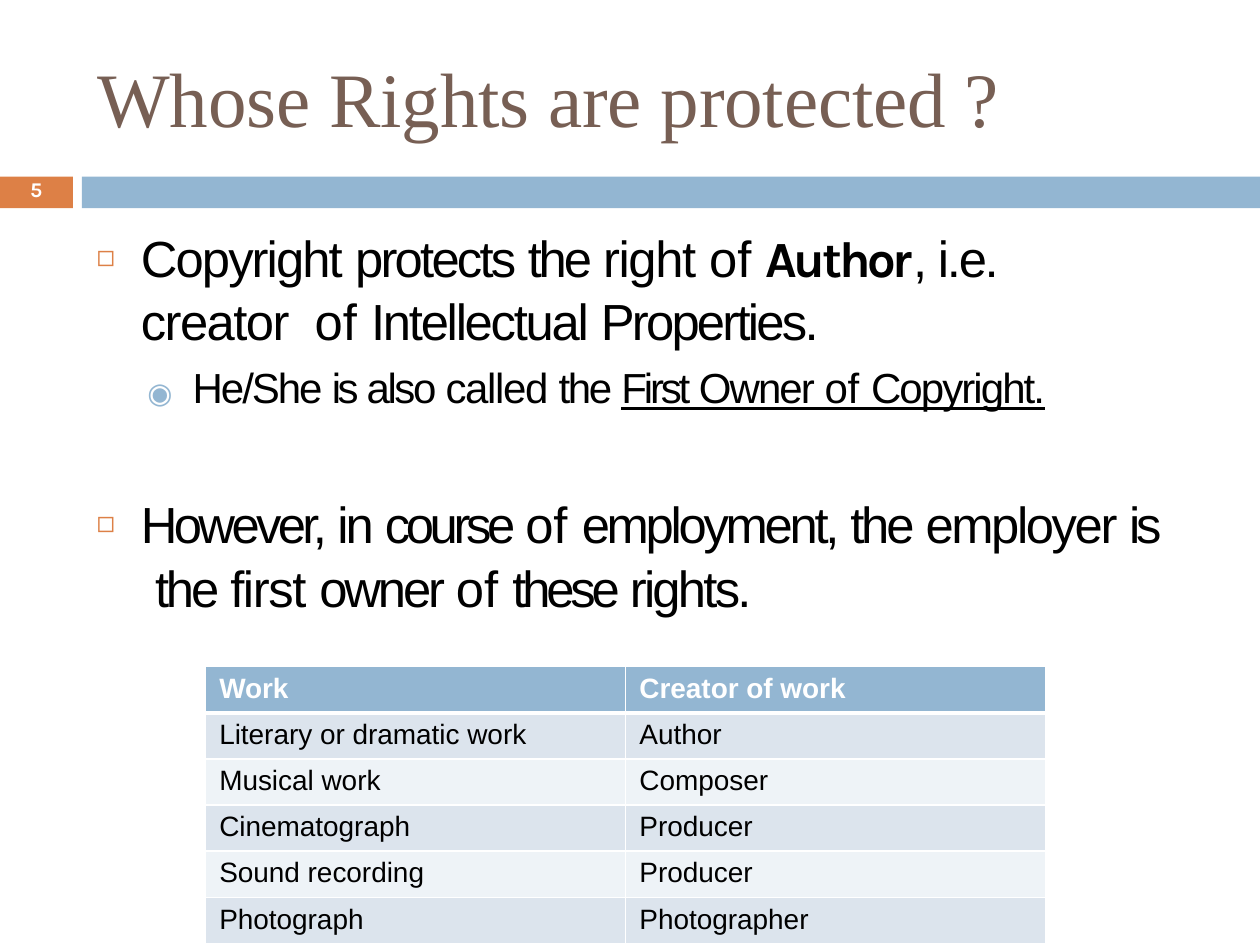
from lxml import etree
from pptx import Presentation
from pptx import util as u
from pptx.dml.color import RGBColor
from pptx.enum import shapes, text
from pptx.oxml.ns import qn

ORANGE, BLUE, BROWN = "DD8046", "93B6D2", "775F54"
WHITE, BLACK, BAND_DARK, BAND_LIGHT = "FFFFFF", "000000", "DCE4ED", "EEF3F7"

TITLE = "Whose Rights are protected ?"
PAGE = "5"
# Bands: left, width (cm), colour
BANDS = [(0, 1.47, ORANGE), (1.65, 23.75, BLUE)]
# Runs: text, letter spacing (pt), optional font settings
BODY = [
    dict(bullet="◻", left=0.91, hang=-0.89, right=1.5, before=1.1, size=29, runs=[
        ("Copyright ", -1.1), ("protects ", -1.6), ("the ", -1.8),
        ("right ", -0.8), ("of ", 0),
        ("Author", -1.9, dict(name="Karla", bold=True)), (", ", -1.9),
        ("i.e. ", -1.3), ("creator  ", -0.9), ("of ", 0),
        ("Intellectual ", -1.3), ("Properties.", -1.6)]),
    dict(left=1.04, before=6.2, size=24, runs=[
        ("◉ ", 3.5, dict(size=16.5, color=BLUE)),
        ("He/She ", -1.2), ("is ", -2.1), ("also ", -1.4),
        ("called ", -0.8), ("the ", -1.4),
        ("First ", -1.8, dict(underline=True)),
        ("Owner ", -1.1, dict(underline=True)),
        ("of", -0.1, dict(underline=True)),
        (" ", -0.7, dict(underline=True)),
        ("Copyright.", -1.1, dict(underline=True))]),
    dict(bullet="◻", left=0.91, hang=-0.89, before=44, size=29, runs=[
        ("However, ", -2.1), ("in ", -1.8), ("course ", -2.5), ("of ", 0),
        ("employment, ", -1.9), ("the ", -1.8), ("employer ", -1.4),
        ("is  ", -2.5), ("the ", -1.8), ("first ", -0.8), ("owner ", -1.8),
        ("of ", 0), ("these ", -2.4), ("rights.", -1.6)]),
]
WORKS = [
    ("Work", "Creator of work"),
    ("Literary or dramatic work", "Author"),
    ("Musical work", "Composer"),
    ("Cinematograph", "Producer"),
    ("Sound recording", "Producer"),
    ("Photograph", "Photographer"),
]


def rgb(value):
    """Turn a hex string into a colour."""
    return RGBColor.from_string(value)


def style(r, size, color=BLACK, name="Arial", bold=False, underline=False, spacing=0):
    """Format one run."""
    f = r.font
    f.size, f.name, f.bold, f.underline = u.Pt(size), name, bold, underline
    f.color.rgb = rgb(color)
    f._element.set("spc", str(round(spacing * 100)))


def place(sp, left, top, width, height):
    """Position a text shape and set up its frame; return the frame."""
    sp.left, sp.top, sp.width, sp.height = map(u.Cm, (left, top, width, height))
    tf = sp.text_frame
    tf.margin_left = tf.margin_right = tf.margin_bottom = 0
    tf.margin_top = u.Cm(0.03)
    tf.vertical_anchor = text.MSO_ANCHOR.TOP
    tf.auto_size = text.MSO_AUTO_SIZE.SHAPE_TO_FIT_TEXT
    return tf


def layout(p, before, left=0.0, hang=0.0, right=0.0, bullet=None):
    """Set spacing, indents and bullet of a paragraph."""
    p.alignment = text.PP_ALIGN.LEFT
    p.space_before = u.Pt(before)
    pPr = p._p.get_or_add_pPr()
    for key, value in (("marL", left), ("marR", right), ("indent", hang)):
        pPr.set(key, str(int(u.Cm(value))))
    if not bullet:
        etree.SubElement(pPr, qn("a:buNone"))
        return
    clr = etree.SubElement(pPr, qn("a:buClr"))
    etree.SubElement(clr, qn("a:srgbClr"), val=ORANGE)
    etree.SubElement(pPr, qn("a:buSzPct"), val="59000")
    etree.SubElement(pPr, qn("a:buFont"), typeface="Arial")
    etree.SubElement(pPr, qn("a:buChar"), char=bullet)


def borders(cell, top, bottom):
    """Draw white borders round a cell, widths in points."""
    tcPr = cell._tc.get_or_add_tcPr()
    for side, width in (("L", 1), ("R", 1), ("T", top), ("B", bottom)):
        ln = etree.SubElement(tcPr, qn("a:ln" + side), w=str(int(u.Pt(width))))
        fill = etree.SubElement(ln, qn("a:solidFill"))
        etree.SubElement(fill, qn("a:srgbClr"), val=WHITE)


def add_works_table(s):
    """Add the table of works and their creators."""
    rows, cols = len(WORKS), len(WORKS[0])
    table = s.shapes.add_table(rows, cols, u.Cm(4.14), u.Cm(13.44),
                               u.Cm(16.94), u.Cm(0.93 * rows)).table
    for i, row in enumerate(WORKS):
        head = i == 0
        color = BLUE if head else (BAND_DARK if i % 2 else BAND_LIGHT)
        for j, label in enumerate(row):
            cell = table.cell(i, j)
            cell.margin_left = cell.margin_right = cell.margin_bottom = 0
            cell.margin_top = u.Cm(0.13)
            borders(cell, 3 if i == 1 else 1, 3 if head else 1)
            cell.fill.solid()
            cell.fill.fore_color.rgb = rgb(color)
            p = cell.text_frame.paragraphs[0]
            p.text = label
            layout(p, 3.4, left=0.28)
            style(p.runs[0], 16, WHITE if head else BLACK, bold=head)


prs = Presentation()
prs.slide_width, prs.slide_height = u.Cm(25.4), u.Cm(19.05)
s = prs.slides.add_slide(prs.slide_layouts[1])

for left, width, color in BANDS:
    band = s.shapes.add_shape(shapes.MSO_SHAPE.RECTANGLE, u.Cm(left), u.Cm(3.56),
                              u.Cm(width), u.Cm(0.64))
    band.shadow.inherit = False
    band.fill.solid()
    band.fill.fore_color.rgb = rgb(color)
    band.line.fill.background()

tf = place(s.shapes.title, 1.93, 0.99, 18.34, 1.93)
tf.text = TITLE
layout(tf.paragraphs[0], 0.9, left=0.03)
style(tf.paragraphs[0].runs[0], 44, BROWN, "Times New Roman", spacing=-0.1)

tf = place(s.placeholders[1], 1.93, 4.47, 21.49, 7.77)
for i, item in enumerate(BODY):
    p = tf.paragraphs[0] if i == 0 else tf.add_paragraph()
    layout(p, item["before"], item["left"], item.get("hang", 0),
           item.get("right", 0), item.get("bullet"))
    p.line_spacing = 1.05 if item.get("bullet") else 1.0
    for label, spacing, *extra in item["runs"]:
        r = p.add_run()
        r.text = label
        options = dict(size=item["size"], spacing=spacing)
        options.update(*extra)
        style(r, **options)

add_works_table(s)

number = s.shapes.add_textbox(0, 0, 0, 0)
tf = place(number, 0.58, 3.53, 0.3, 0.58)
tf.text = PAGE
layout(tf.paragraphs[0], 1, left=0.03)
style(tf.paragraphs[0].runs[0], 12, WHITE, "Karla", bold=True, spacing=-0.7)

prs.save("out.pptx")
